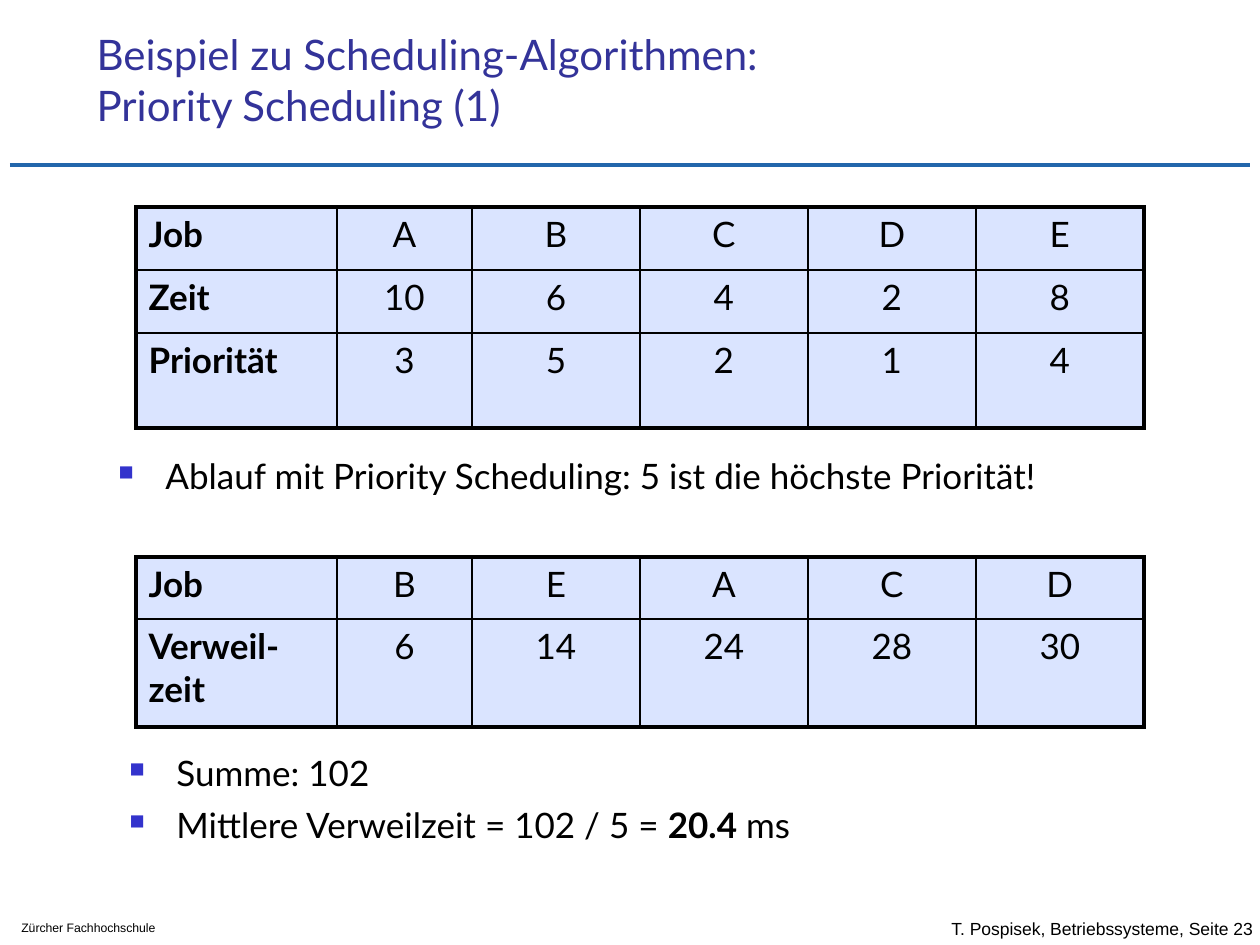
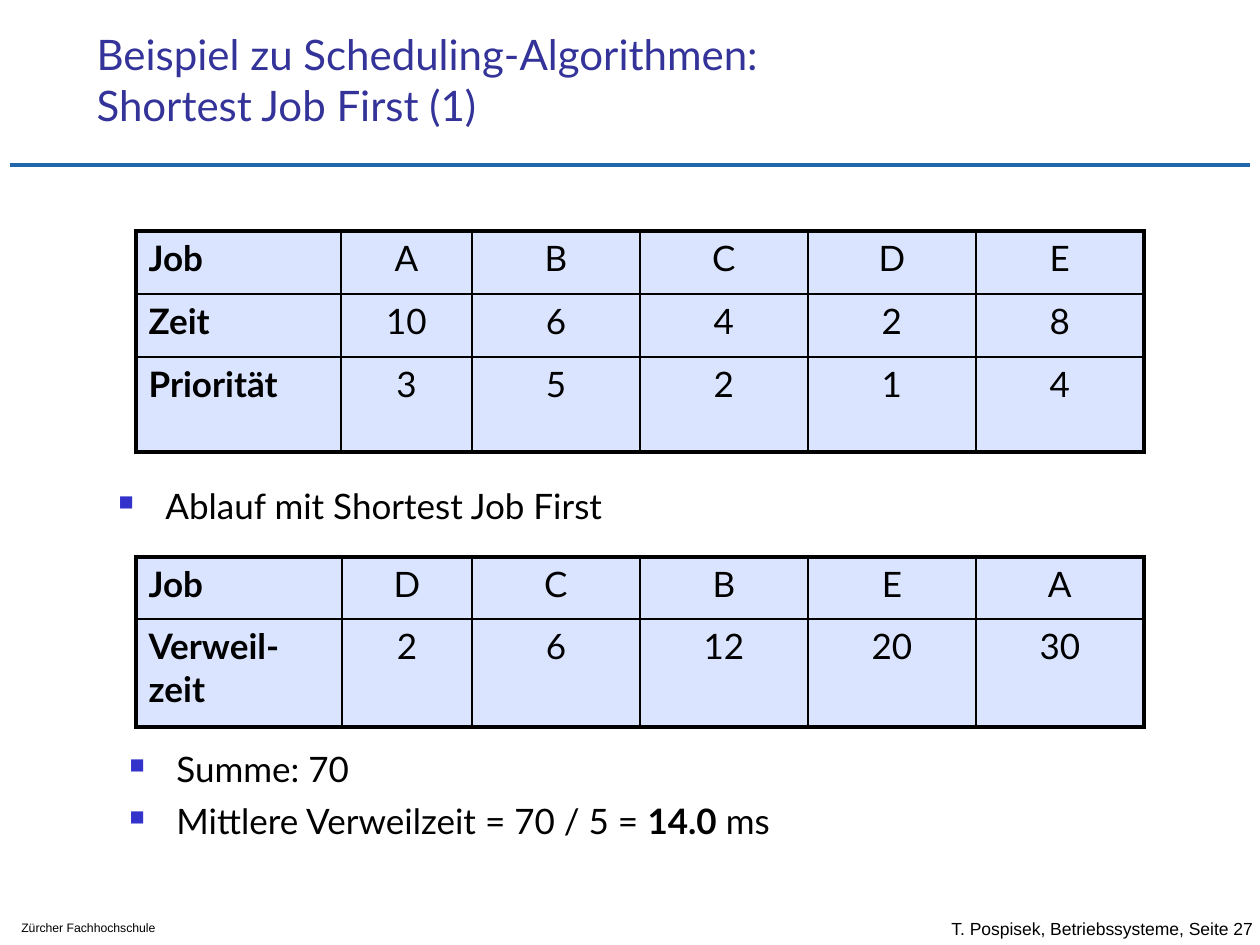
import dataclasses

import pptx
import pptx.dml.color
import pptx.enum.shapes
import pptx.enum.text
import pptx.oxml
import pptx.oxml.ns
import pptx.util
from lxml import etree

EMU_PER_PX = 914400 / 126
ALIGN = pptx.enum.text.PP_ALIGN
ANCHOR = pptx.enum.text.MSO_ANCHOR


@dataclasses.dataclass(frozen=True)
class Theme:
    title_color: str = "333399"
    rule_color: str = "2266AB"
    text_color: str = "000000"
    cell_color: str = "DAE4FF"
    bullet_color: str = "3333CC"
    body_font: str = "Lato"
    footer_font: str = "Arial"
    title_size: int = 24
    body_size: int = 20
    author_size: int = 10
    school_size: int = 7
    rule_width: float = 2.5
    outer_width: float = 2.21
    inner_width: float = 0.96


THEME = Theme()


def px(n):
    return pptx.util.Emu(round(n * EMU_PER_PX))


def rgb(color):
    return pptx.dml.color.RGBColor.from_string(color)


def sub(parent, tag, **attrs):
    el = etree.SubElement(parent, pptx.oxml.ns.qn(tag))
    for name, value in attrs.items():
        el.set(name, str(value))
    return el


def add_bullet(p):
    pPr = p._p.get_or_add_pPr()
    pPr.set("marL", str(px(48)))
    pPr.set("indent", str(-px(47)))
    sub(sub(pPr, "a:buClr"), "a:srgbClr", val=THEME.bullet_color)
    sub(pPr, "a:buSzPct", val=60000)
    sub(pPr, "a:buChar", char="■")


def write(tf, paragraphs, size=THEME.body_size, font=THEME.body_font,
          color=THEME.text_color, bold=False, align=ALIGN.LEFT,
          bullet=False, spacing=1.0, before=0):
    for i, runs in enumerate(paragraphs):
        p = tf.add_paragraph() if i else tf.paragraphs[0]
        if bullet:
            add_bullet(p)
        p.alignment = align
        p.line_spacing = spacing
        p.space_before = pptx.util.Pt(before if i else 0)
        for text, strong in [(runs, bold)] if isinstance(runs, str) else runs:
            for j, line in enumerate(text.split("\n")):
                if j:
                    p.add_line_break()
                r = p.add_run()
                r.text = line
                r.font.name = font
                r.font.size = pptx.util.Pt(size)
                r.font.bold = strong
                r.font.color.rgb = rgb(color)


class Deck:
    def __init__(self, theme):
        self.theme = theme
        self.prs = pptx.Presentation()
        self.prs.slide_width, self.prs.slide_height = px(1260), px(945)
        self.s = None

    def add_slide(self, title, page):
        self.s = self.prs.slides.add_slide(self.prs.slide_layouts[5])
        self.rule(10, 1250, 165)
        self.text(939, 911, 321, 34, [f"T. Pospisek, Betriebssysteme, Seite {page}"],
                  anchor=ANCHOR.MIDDLE, right=0,
                  size=self.theme.author_size, font=self.theme.footer_font)
        self.text(9, 914, 217, 28, ["Zürcher Fachhochschule"],
                  size=self.theme.school_size, font=self.theme.footer_font)
        self.title(title)

    def title(self, text):
        sp = self.s.shapes.title
        sp.left, sp.top, sp.width, sp.height = px(84), px(42), px(1074), px(94)
        tf = sp.text_frame
        tf.auto_size = pptx.enum.text.MSO_AUTO_SIZE.NONE
        tf.vertical_anchor = ANCHOR.BOTTOM
        write(tf, [text], size=self.theme.title_size, color=self.theme.title_color)

    def rule(self, x1, x2, y):
        cx = self.s.shapes.add_connector(
            pptx.enum.shapes.MSO_CONNECTOR.STRAIGHT, px(x1), px(y), px(x2), px(y))
        cx.line.color.rgb = rgb(self.theme.rule_color)
        cx.line.width = pptx.util.Pt(self.theme.rule_width)
        sub(cx._element.spPr, "a:effectLst")

    def text(self, x, y, w, h, paragraphs, anchor=ANCHOR.TOP, right=13, **fmt):
        tf = self.s.shapes.add_textbox(px(x), px(y), px(w), px(h)).text_frame
        tf.word_wrap = True
        tf.vertical_anchor = anchor
        tf.margin_right = px(right)
        write(tf, paragraphs, **fmt)

    def bullets(self, x, y, paragraphs):
        self.text(x, y, 1040, 53, paragraphs, bullet=True, spacing=0.9, before=8)

    def borders(self, cell, outer):
        tcPr = cell._tc.get_or_add_tcPr()
        for side, is_outer in outer.items():
            width = self.theme.outer_width if is_outer else self.theme.inner_width
            ln = sub(tcPr, f"a:ln{side}", w=pptx.util.Pt(width))
            sub(sub(ln, "a:solidFill"), "a:srgbClr", val=self.theme.text_color)

    def table(self, y, label_width, heights, rows):
        widths = [label_width, 336 - label_width] + [168] * 4
        table = self.s.shapes.add_table(
            len(rows), len(widths), px(136), px(y),
            px(sum(widths)), px(sum(heights))).table
        table.first_row = table.horz_banding = False
        for column, width in zip(table.columns, widths):
            column.width = px(width)
        for i, (row, height) in enumerate(zip(rows, heights)):
            table.rows[i].height = px(height)
            for j, value in enumerate(row):
                cell = table.cell(i, j)
                self.borders(cell, {"L": j == 0, "R": j == len(row) - 1,
                                    "T": i == 0, "B": i == len(rows) - 1})
                cell.fill.solid()
                cell.fill.fore_color.rgb = rgb(self.theme.cell_color)
                write(cell.text_frame, [str(value)], bold=j == 0,
                      align=ALIGN.CENTER if j else ALIGN.LEFT)


def add_schedule(deck, name, page, jobs_y, jobs_label, flow, flow_y,
                 order, times, result_label, result_y):
    deck.add_slide(f"Beispiel zu Scheduling-Algorithmen:\n{name} (1)", page)
    deck.table(jobs_y, jobs_label, [63, 63, 95], [
        ["Job", *"ABCDE"],
        ["Zeit", 10, 6, 4, 2, 8],
        ["Priorität", 3, 5, 2, 1, 4],
    ])
    deck.table(557, result_label, [62, 108],
               [["Job", *order], ["Verweil-zeit", *times]])
    deck.bullets(105, flow_y, [f"Ablauf mit {flow}"])
    total = sum(times)
    deck.bullets(116, result_y, [
        f"Summe: {total}",
        [(f"Mittlere Verweilzeit = {total} / {len(times)} = ", False),
         (f"{total / len(times):.1f}", True), (" ms", False)],
    ])


def main():
    deck = Deck(THEME)
    add_schedule(deck, "Priority Scheduling", 23, jobs_y=207, jobs_label=201,
                 flow="Priority Scheduling: 5 ist die höchste Priorität!", flow_y=453,
                 order="BEACD", times=[6, 14, 24, 28, 30],
                 result_label=201, result_y=750)
    add_schedule(deck, "Shortest Job First", 27, jobs_y=231, jobs_label=205,
                 flow="Shortest Job First", flow_y=483,
                 order="DCBEA", times=[2, 6, 12, 20, 30],
                 result_label=206, result_y=746)
    deck.prs.save("out.pptx")


if __name__ == "__main__":
    main()
